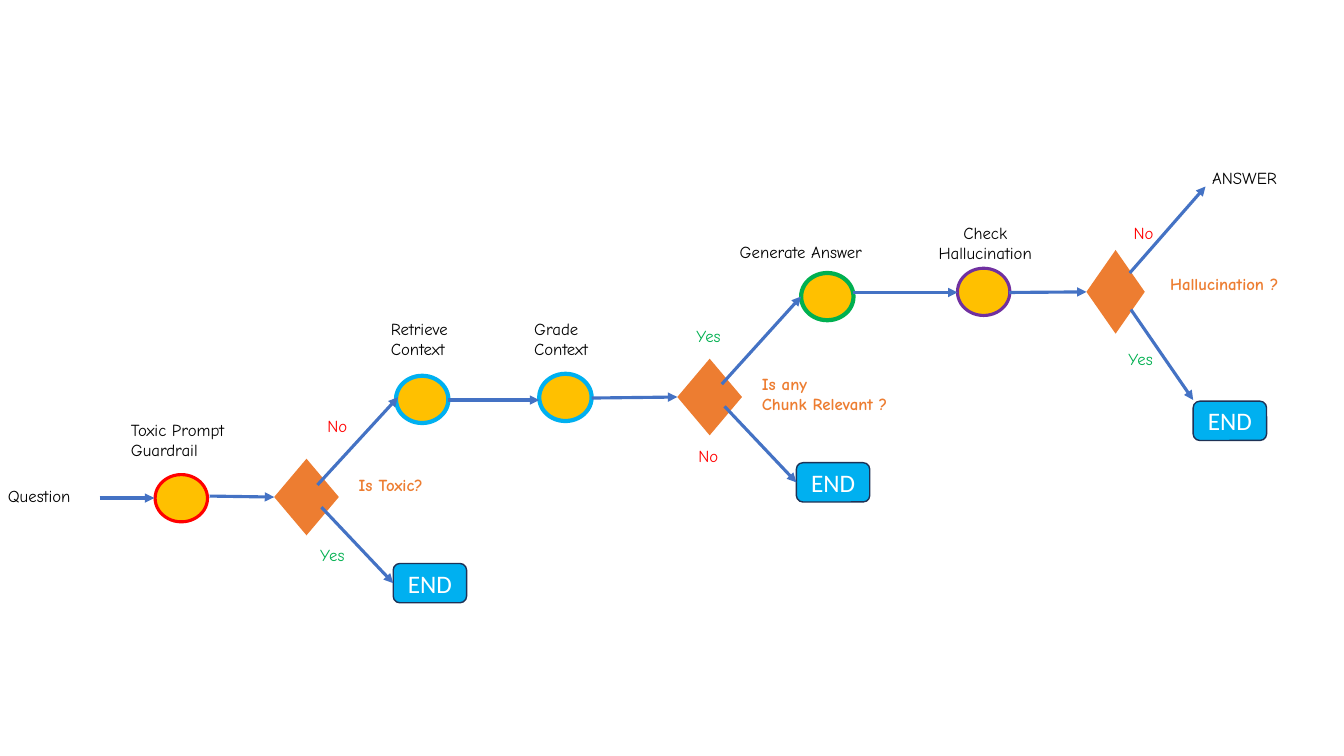
from lxml import etree
from pptx import Presentation
from pptx.dml.color import RGBColor
from pptx.enum.shapes import MSO_CONNECTOR, MSO_SHAPE
from pptx.enum.text import MSO_ANCHOR, MSO_AUTO_SIZE, PP_ALIGN
from pptx.oxml.ns import qn
from pptx.util import Cm, Pt

STRAIGHT = MSO_CONNECTOR.STRAIGHT
OVAL, DIAMOND, ROUNDED = MSO_SHAPE.OVAL, MSO_SHAPE.DIAMOND, MSO_SHAPE.ROUNDED_RECTANGLE
LEFT, CENTER, MIDDLE = PP_ALIGN.LEFT, PP_ALIGN.CENTER, MSO_ANCHOR.MIDDLE
GROW = MSO_AUTO_SIZE.SHAPE_TO_FIT_TEXT
LEFT_SIDE = 1

COLORS = {
    "black": "000000", "white": "FFFFFF", "red": "FF0000", "green": "00B050",
    "sky": "00B0F0", "purple": "7030A0", "gold": "FFC000", "orange": "ED7D31",
    "arrow": "4472C4", "navy": "1E3256",
}


def rgb(name):
    return RGBColor.from_string(COLORS[name])


class FlowSlide:
    label_font, end_font = "Comic Neue", "Calibri"

    def __init__(self, slide):
        self.shapes = slide.shapes

    def style(self, paragraph, font, size, color, align, bold=False):
        paragraph.alignment = align
        paragraph.font.name = font
        paragraph.font.size = Pt(size)
        paragraph.font.color.rgb = rgb(color)
        paragraph.font.bold = bold

    def block(self, kind, left, top, width, height, fill, line=None, line_width=1):
        shape = self.shapes.add_shape(kind, Cm(left), Cm(top), Cm(width), Cm(height))
        shape.shadow.inherit = False
        shape.fill.solid()
        shape.fill.fore_color.rgb = rgb(fill)
        if line:
            shape.line.color.rgb = rgb(line)
            shape.line.width = Pt(line_width)
        else:
            shape.line.fill.background()
        return shape

    def step(self, left, top, line, line_width):
        return self.block(OVAL, left, top, 1.32, 1.19, "gold", line, line_width)

    def decision(self, left, top, width=1.63, height=1.93):
        return self.block(DIAMOND, left, top, width, height, "orange")

    def end(self, left, top):
        shape = self.block(ROUNDED, left, top, 1.85, 0.99, "sky", "navy")
        frame = shape.text_frame
        frame.text = "END"
        frame.vertical_anchor = MIDDLE
        self.style(frame.paragraphs[0], self.end_font, 18, "white", CENTER)
        return shape

    def label(self, text, left, top, width, color="black", height=0.77,
              align=LEFT, bold=False, wrap=False):
        box = self.shapes.add_textbox(Cm(left), Cm(top), Cm(width), Cm(height))
        frame = box.text_frame
        frame.text = text
        frame.word_wrap = wrap
        frame.auto_size = GROW
        for paragraph in frame.paragraphs:
            self.style(paragraph, self.label_font, 12, color, align, bold)

    def arrow(self, start, end):
        """Draw an arrow to a point, or to the left side of a shape."""
        joined = not isinstance(end, tuple)
        end_x, end_y = start if joined else end
        line = self.shapes.add_connector(
            STRAIGHT, Cm(start[0]), Cm(start[1]), Cm(end_x), Cm(end_y))
        if joined:
            line.end_connect(end, LEFT_SIDE)
        line.line.color.rgb = rgb("arrow")
        line.line.width = Pt(2.25)
        etree.SubElement(line.line._get_or_add_ln(), qn("a:tailEnd"), type="triangle")
        etree.SubElement(line._element.spPr, qn("a:effectLst"))


def main():
    presentation = Presentation()
    presentation.slide_width, presentation.slide_height = Cm(33.87), Cm(19.05)
    flow = FlowSlide(presentation.slides.add_slide(presentation.slide_layouts[6]))

    for left, top, line, line_width in [
        (3.91, 11.96, "red", 2.25),
        (9.98, 9.47, "sky", 3),
        (13.59, 9.42, "sky", 3),
        (20.19, 6.88, "green", 3),
        (24.13, 6.76, "purple", 2.25),
    ]:
        flow.step(left, top, line, line_width)

    is_toxic = flow.decision(6.91, 11.56)
    is_relevant = flow.decision(17.07, 9.04)
    is_hallucination = flow.decision(27.38, 6.3, 1.47, 2.11)
    toxic_end = flow.end(9.91, 14.2)
    irrelevant_end = flow.end(20.07, 11.66)
    flow.end(30.07, 10.11)

    for start, end in [
        ((2.51, 12.55), (3.89, 12.55)),
        ((5.28, 12.5), is_toxic),
        ((8, 12.22), (10.03, 10.01)),
        ((8.1, 12.78), toxic_end),
        ((11.3, 10.08), (13.59, 10.08)),
        ((14.91, 10.03), is_relevant),
        ((18.19, 9.68), (20.19, 7.47)),
        ((18.26, 10.24), irrelevant_end),
        ((21.49, 7.37), (24.13, 7.37)),
        ((25.43, 7.37), is_hallucination),
        ((28.47, 6.88), (30.38, 4.7)),
        ((28.5, 7.8), (30.07, 10.08)),
    ]:
        flow.arrow(start, end)

    flow.label("Question", -0.05, 12.12, 2.67)
    flow.label("Generate Answer", 18.39, 5.97, 4.5)
    flow.label("ANSWER", 30.3, 4.09, 2.44)
    flow.label("Check\nHallucination", 22.81, 5.49, 4.04, height=1.27, align=CENTER)
    for text, left, top, width in [
        ("Toxic Prompt Guardrail", 3.05, 10.46, 3.84),
        ("Retrieve Context", 9.6, 7.9, 2.9),
        ("Grade Context", 13.21, 7.9, 2.59),
    ]:
        flow.label(text, left, top, width, height=1.27, wrap=True)

    flow.label("Is Toxic?", 8.79, 11.84, 2.79, "orange", bold=True)
    flow.label("Is any\vChunk Relevant ?", 18.95, 9.3, 6.38, "orange",
               height=1.27, bold=True, wrap=True)
    flow.label("Hallucination ?", 28.52, 6.78, 4.67, "orange", align=CENTER, bold=True)

    for left, top in [(8, 10.36), (17.35, 11.1), (28.32, 5.49)]:
        flow.label("No", left, top, 1.14, "red")
    for left, top in [(7.82, 13.59), (17.3, 8.08), (28.19, 8.66)]:
        flow.label("Yes", left, top, 1.2, "green")

    presentation.save("out.pptx")


if __name__ == "__main__":
    main()
